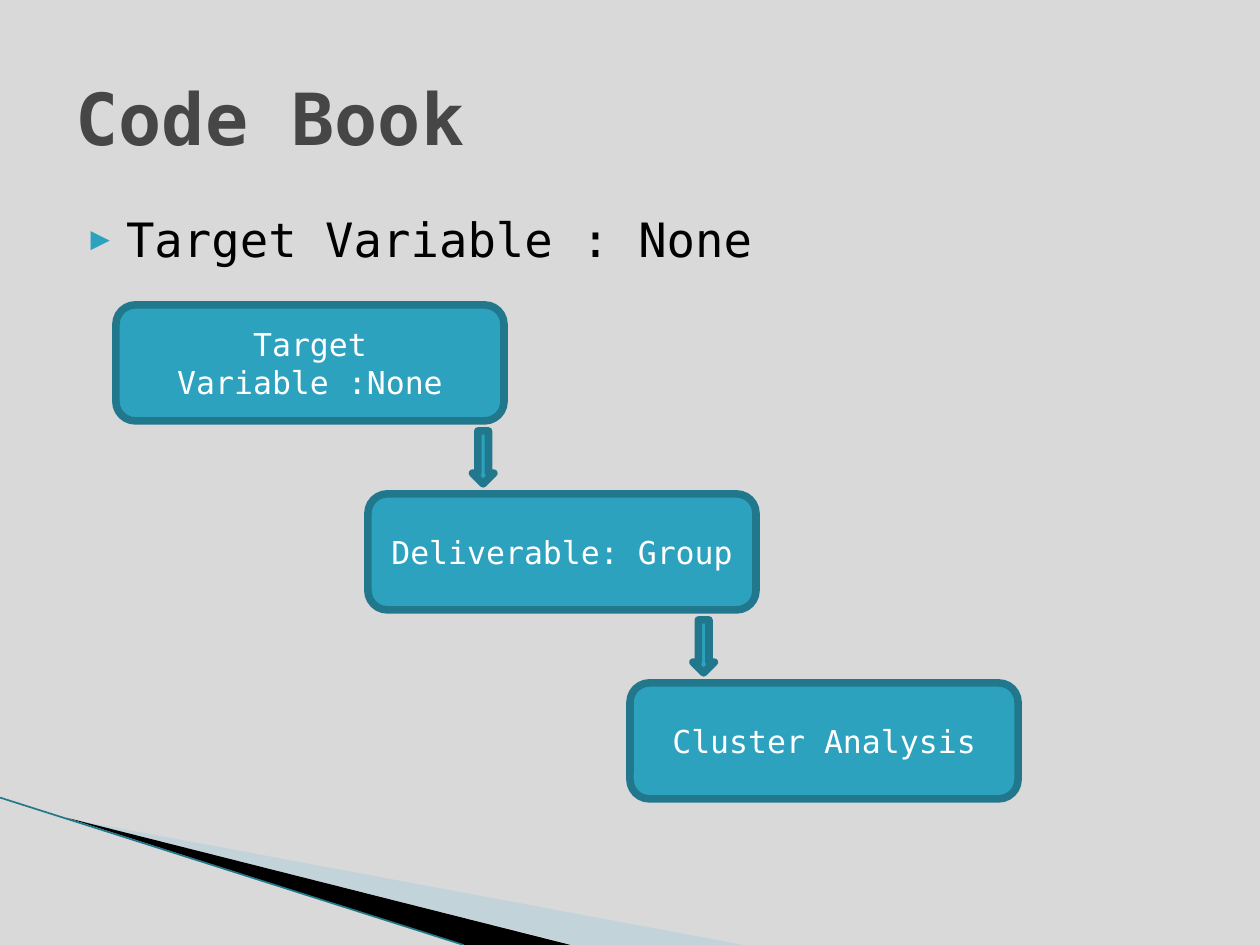
"""Build the Code Book slide with a three-step cascade of boxes."""
from lxml.etree import SubElement
from pptx import Presentation
from pptx.dml.color import RGBColor
from pptx.enum.shapes import MSO_CONNECTOR, MSO_SHAPE
from pptx.enum.text import MSO_ANCHOR, MSO_AUTO_SIZE, PP_ALIGN
from pptx.oxml.ns import qn
from pptx.util import Inches, Pt

BACKGROUND = RGBColor(0xD9, 0xD9, 0xD9)
TEAL = RGBColor(0x2D, 0xA2, 0xBF)
DARK_TEAL = RGBColor(0x21, 0x78, 0x8D)
PALE_BLUE = RGBColor(0xA0, 0xCB, 0xDC)
GREY = RGBColor(0x46, 0x46, 0x46)
BLACK = RGBColor(0, 0, 0)
WHITE = RGBColor(0xFF, 0xFF, 0xFF)


def write(sp, text, size, color, align, anchor, bold=False):
    tf = sp.text_frame
    frame = {"word_wrap": True, "auto_size": MSO_AUTO_SIZE.NONE, "vertical_anchor": anchor}
    for name, value in frame.items():
        setattr(tf, name, value)
    p = tf.paragraphs[0]
    p.alignment = align
    r = p.add_run()
    r.text = text
    font = {"name": "DejaVu Sans Mono", "size": Pt(size), "bold": bold}
    for name, value in font.items():
        setattr(r.font, name, value)
    r.font.color.rgb = color
    return p


def add_block(kind, left, top, width, height):
    sp = s.shapes.add_shape(kind, Inches(left), Inches(top), Inches(width), Inches(height))
    sp.shadow.inherit = False
    sp.fill.solid()
    sp.fill.fore_color.rgb = TEAL
    sp.line.color.rgb = DARK_TEAL
    sp.line.width = Pt(4.33)
    return sp


prs = Presentation()
prs.slide_width, prs.slide_height = Inches(10), Inches(7.5)
s = prs.slides.add_slide(prs.slide_layouts[1])
s.background.fill.solid()
s.background.fill.fore_color.rgb = BACKGROUND

wedges = [
    (PALE_BLUE, 40, [(0.55, 6.5), (5.9, 7.5), (4.56, 7.5)]),
    (BLACK, 100, [(0.53, 6.49), (4.53, 7.5), (3.68, 7.5)]),
]
for color, opacity, points in wedges:
    corners = [(Inches(x), Inches(y)) for x, y in points]
    builder = s.shapes.build_freeform(*corners[0])
    builder.add_line_segments(corners[1:], close=True)
    sp = builder.convert_to_shape()
    sp.shadow.inherit = False
    sp.fill.solid()
    sp.fill.fore_color.rgb = color
    sp.line.fill.background()
    if opacity < 100:
        clr = sp.fill._xPr.find(qn("a:solidFill"))[0]
        SubElement(clr, qn("a:alpha"), val=str(opacity * 1000))

edge = s.shapes.add_connector(
    MSO_CONNECTOR.STRAIGHT, Inches(0), Inches(6.33), Inches(3.68), Inches(7.5))
edge.line.color.rgb = DARK_TEAL
edge.line.width = Pt(0.95)
SubElement(edge._element.spPr, qn("a:effectLst"))

title, body = s.shapes.title, s.placeholders[1]
for sp, top, height in [(title, 0.3, 1.25), (body, 1.62, 4.95)]:
    box = {"left": 0.5, "top": top, "width": 9, "height": height}
    for name, value in box.items():
        setattr(sp, name, Inches(value))
write(title, "Code Book", 41, GREY, PP_ALIGN.LEFT, MSO_ANCHOR.MIDDLE, bold=True)
p = write(body, "Target Variable : None", 27, BLACK, PP_ALIGN.LEFT, MSO_ANCHOR.TOP)
p.space_before = Pt(4)
pPr = p._p.get_or_add_pPr()
pPr.set("marL", str(Inches(0.4)))
pPr.set("indent", str(Inches(-0.28)))
SubElement(SubElement(pPr, qn("a:buClr")), qn("a:srgbClr"), val=str(TEAL))
SubElement(pPr, qn("a:buSzPct"), val="68000")
SubElement(pPr, qn("a:buFont"), typeface="DejaVu Sans Mono")
SubElement(pPr, qn("a:buChar"), char="▶")

steps = [(0.92, "Target Variable :None"), (2.92, "Deliverable: Group"), (5, "Cluster Analysis")]
for i, (left, text) in enumerate(steps):
    sp = add_block(MSO_SHAPE.ROUNDED_RECTANGLE, left, 2.42 + 1.5 * i, 3.08, 0.92)
    write(sp, text, 18, WHITE, PP_ALIGN.CENTER, MSO_ANCHOR.MIDDLE)
for i, left in enumerate([3.75, 5.5]):
    add_block(MSO_SHAPE.DOWN_ARROW, left, 3.42 + 1.5 * i, 0.17, 0.42)

prs.save("out.pptx")
